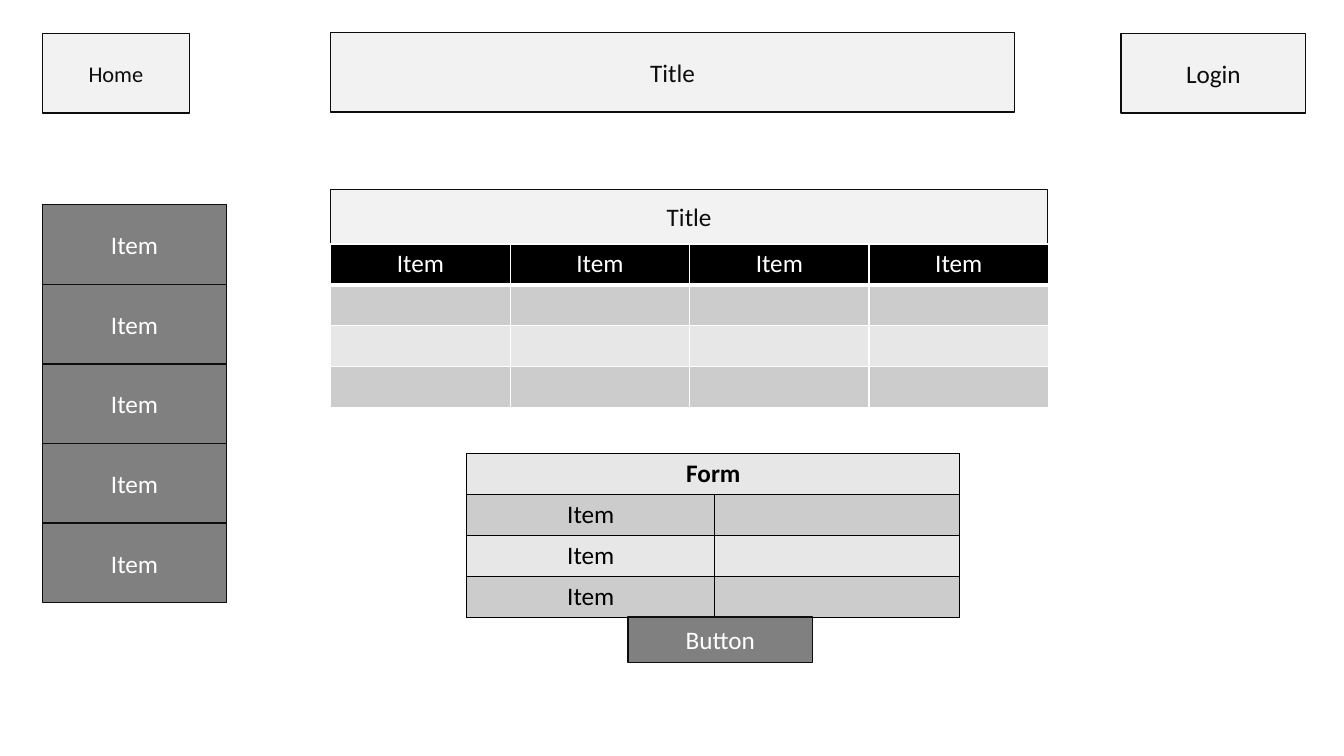
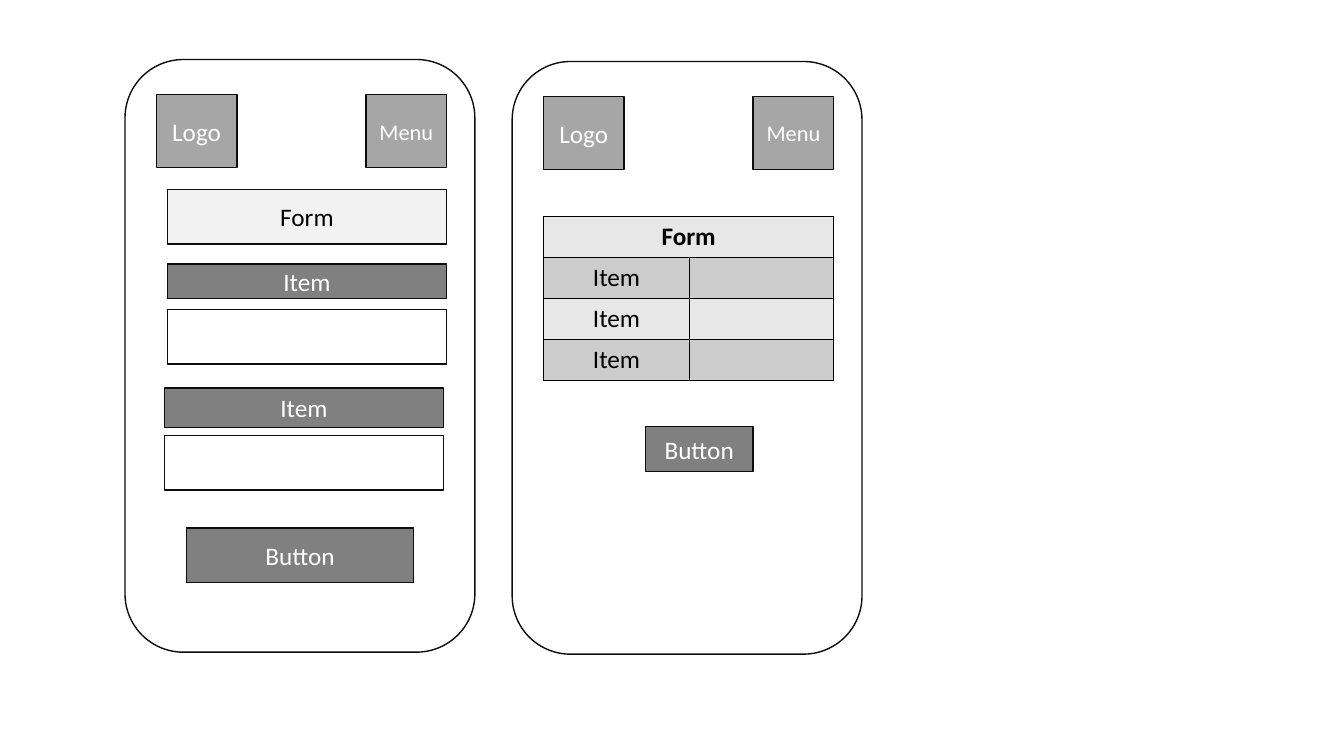
import dataclasses

import pptx
import pptx.dml.color
import pptx.enum.shapes
import pptx.enum.text
import pptx.oxml
import pptx.oxml.ns
import pptx.util

Inches = pptx.util.Inches
Pt = pptx.util.Pt
RGB = pptx.dml.color.RGBColor.from_string
SHAPE = pptx.enum.shapes.MSO_SHAPE
CENTER = pptx.enum.text.PP_ALIGN.CENTER
MIDDLE = pptx.enum.text.MSO_ANCHOR.MIDDLE


@dataclasses.dataclass(frozen=True)
class Theme:
    font: str = "Calibri"
    body: int = 18
    small: int = 16
    line: int = 1
    header_rule: int = 3
    ink: str = "0D0D0D"
    black: str = "000000"
    white: str = "FFFFFF"
    panel: str = "F2F2F2"
    button: str = "808080"
    icon: str = "A6A6A6"
    band_dark: str = "CCCCCC"
    band_light: str = "E7E7E7"


T = Theme()


def add_box(s, box, text="", fill=None, color=T.white, size=T.body, kind=SHAPE.RECTANGLE):
    """Outlined shape at box (left, top, width, height); no fill means see-through."""
    sp = s.shapes.add_shape(kind, *map(Inches, box))
    sp.shadow.inherit = False
    sp.line.color.rgb = RGB(T.ink)
    sp.line.width = Pt(T.line)
    if fill:
        sp.fill.solid()
        sp.fill.fore_color.rgb = RGB(fill)
    else:
        sp.fill.background()
    if text:
        tf = sp.text_frame
        tf.text = text
        tf.vertical_anchor = MIDDLE
        p = tf.paragraphs[0]
        p.alignment = CENTER
        font = p.runs[0].font
        font.name, font.size, font.color.rgb = T.font, Pt(size), RGB(color)


def add_grid(s, left, top, widths, rows, fills, border, head_color, head_bold, head_rule=T.line):
    """Banded table; a first row with one entry spans all columns."""
    height = Inches(1.62)
    table = s.shapes.add_table(len(rows), len(widths), Inches(left), Inches(top),
                               Inches(sum(widths)), height).table
    for column, width in zip(table.columns, widths):
        column.width = Inches(width)
    for i, (texts, fill) in enumerate(zip(rows, fills)):
        table.rows[i].height = height // len(rows)
        rules = {"L": T.line, "R": T.line,
                 "T": head_rule if i == 1 else T.line,
                 "B": head_rule if i == 0 else T.line}
        for j in range(len(widths)):
            cell = table.cell(i, j)
            for side, width in rules.items():
                cell._tc.get_or_add_tcPr().append(pptx.oxml.parse_xml(
                    f'<a:ln{side} {pptx.oxml.ns.nsdecls("a")} w="{Pt(width)}"><a:solidFill>'
                    f'<a:srgbClr val="{border}"/></a:solidFill></a:ln{side}>'))
            cell.fill.solid()
            cell.fill.fore_color.rgb = RGB(fill)
            p = cell.text_frame.paragraphs[0]
            p.text = texts[j] if j < len(texts) else ""
            p.alignment = CENTER
            for r in p.runs:
                r.font.name, r.font.size = T.font, Pt(T.body)
                r.font.bold = head_bold and i == 0
                r.font.color.rgb = RGB(head_color if i == 0 else T.black)
    if len(rows[0]) == 1:
        table.cell(0, 0).merge(table.cell(0, len(widths) - 1))


form = dict(rows=[["Form"]] + [["Item"]] * 3,
            fills=[T.band_light, T.band_dark, T.band_light, T.band_dark],
            border=T.black, head_color=T.black, head_bold=True)

prs = pptx.Presentation()
prs.slide_width, prs.slide_height = Inches(13.33), Inches(7.5)
blank = prs.slide_layouts[6]

# Desktop page
s = prs.slides.add_slide(blank)
add_box(s, (0.42, 0.33, 1.46, 0.79), "Home", T.panel, T.ink, T.small)
add_box(s, (3.28, 0.32, 6.78, 0.79), "Title", T.panel, T.ink)
add_box(s, (11.12, 0.33, 1.83, 0.79), "Login", T.panel, T.ink)
for i in range(5):
    add_box(s, (0.42, 2.03 + 0.79 * i, 1.83, 0.79), "Item", T.button)
add_box(s, (3.28, 1.88, 7.11, 0.54), "Title", T.panel, T.ink)
add_grid(s, 3.28, 2.42, [1.78] * 4, rows=[["Item"] * 4, [], [], []],
         fills=[T.black, T.band_dark, T.band_light, T.band_dark],
         border=T.white, head_color=T.white, head_bold=False, head_rule=T.header_rule)
add_grid(s, 4.63, 4.5, [2.46, 2.43], **form)
add_box(s, (6.23, 6.12, 1.83, 0.45), "Button", T.button)

# Phone pages
s = prs.slides.add_slide(blank)
for left, top in [(1.24, 0.59), (5.08, 0.61)]:
    add_box(s, (left, top, 3.47, 5.88), kind=SHAPE.ROUNDED_RECTANGLE)
    add_box(s, (left + 0.31, top + 0.35, 0.8, 0.72), "Logo", T.icon)
    add_box(s, (left + 2.39, top + 0.35, 0.8, 0.72), "Menu", T.icon, size=T.small)

add_box(s, (1.66, 1.88, 2.77, 0.54), "Form", T.panel, T.black)
for left, top, label_height, field_top in [(1.66, 2.62, 0.34, 3.07), (1.63, 3.85, 0.39, 4.32)]:
    add_box(s, (left, top, 2.77, label_height), "Item", T.button)
    add_box(s, (left, field_top, 2.77, 0.54), fill=T.white)
add_box(s, (1.85, 5.24, 2.25, 0.54), "Button", T.button)

add_grid(s, 5.39, 2.15, [1.45, 1.43], **form)
add_box(s, (6.4, 4.23, 1.07, 0.45), "Button", T.button)

prs.save("out.pptx")
